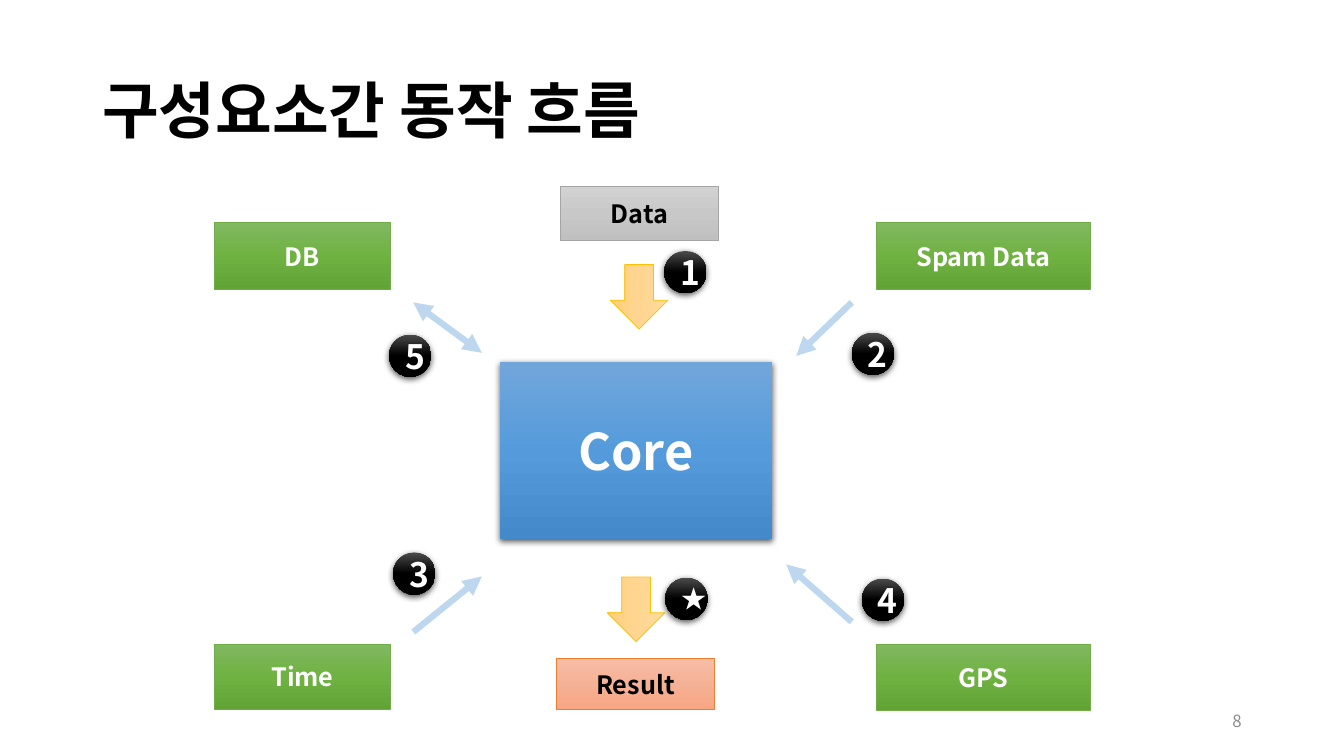
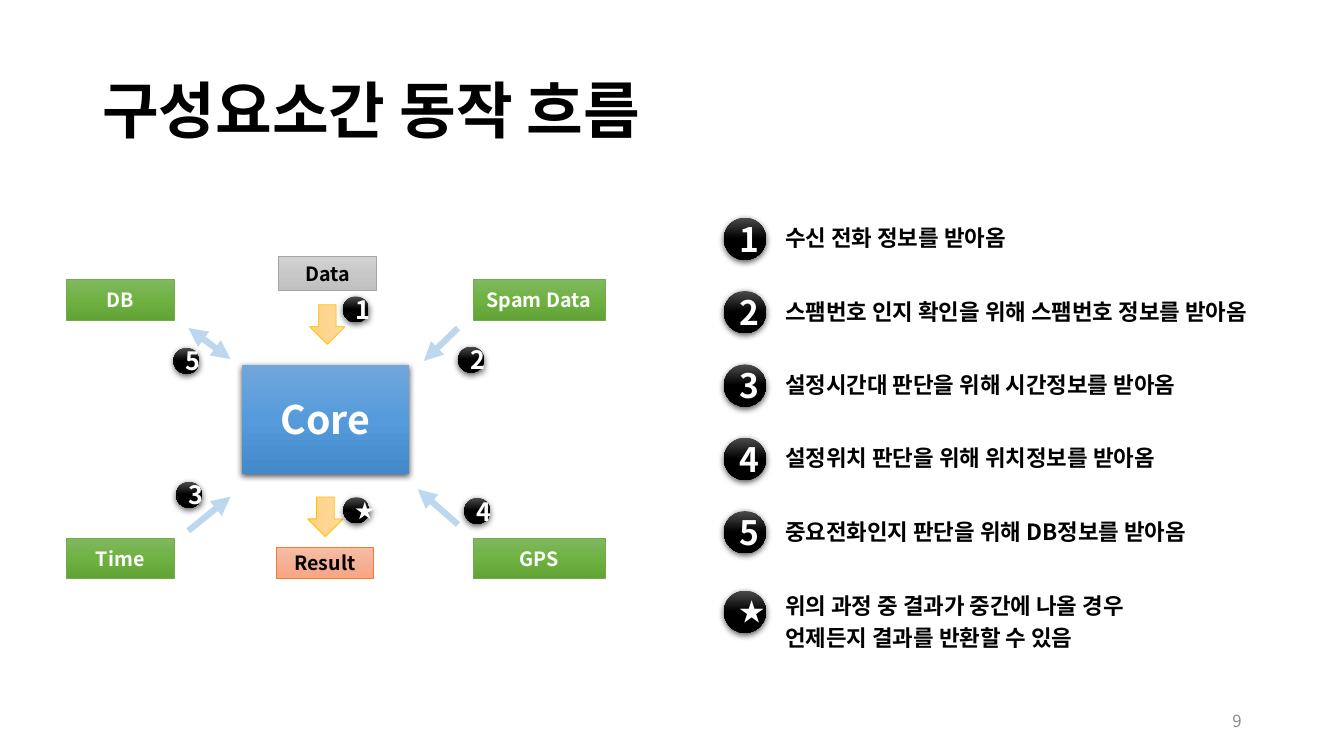
from lxml import etree
from pptx import Presentation
from pptx.dml.color import RGBColor
from pptx.enum.shapes import MSO_CONNECTOR, MSO_SHAPE
from pptx.enum.text import MSO_ANCHOR, MSO_AUTO_SIZE, PP_ALIGN
from pptx.oxml import parse_xml
from pptx.oxml.ns import qn
from pptx.util import Pt

RECT, OVAL, ARROW = MSO_SHAPE.RECTANGLE, MSO_SHAPE.OVAL, MSO_SHAPE.RIGHT_ARROW
LINE = MSO_CONNECTOR.STRAIGHT
LEFT, MID, RIGHT = PP_ALIGN.LEFT, PP_ALIGN.CENTER, PP_ALIGN.RIGHT
TOP, CENTER = MSO_ANCHOR.TOP, MSO_ANCHOR.MIDDLE
GROW, FIXED = MSO_AUTO_SIZE.SHAPE_TO_FIT_TEXT, MSO_AUTO_SIZE.NONE

FONT = "Noto Sans CJK KR"
NS = "http://schemas.openxmlformats.org/drawingml/2006/main"
HEX = {
    "ink": "000000", "white": "FFFFFF", "page": "8C8C8C", "link": "BDD7EE",
    "green": "70AD47", "gray": "A5A5A5", "orange": "ED7D31", "gold": "FFC000",
}
GRADS = {
    "blue": ("71A6DB", "559BDB", "448ACA"),
    "green": ("81B861", "6FB242", "62A336"),
    "gray": ("D2D2D2", "C8C8C8", "C0C0C0"),
    "orange": ("F7BDA5", "F5B196", "F8A582"),
    "gold": ("FFDB9E", "FFD590", "FFD07C"),
    "black": ("4B4B4B", "000000", "000000"),
}
STAR = "★"
BADGE = 30.2

BOXES = [
    ("DB", (153.4, 159.1, 125.3, 47.5), "green", "white"),
    ("Time", (153.4, 460, 125.3, 47), "green", "white"),
    ("GPS", (625.7, 460, 153.4, 47.2), "green", "white"),
    ("Spam Data", (625.7, 159.1, 153.4, 47.5), "green", "white"),
    ("Data", (400.3, 133.2, 113, 38.9), "gray", "ink"),
    ("Result", (397.4, 470.2, 113, 36.7), "orange", "ink"),
]
LINKS = [
    ((295.2, 216), (344.2, 252), ("headEnd", "tailEnd")),
    ((344.2, 411.8), (295.2, 451.4), ("headEnd",)),
    ((568.8, 254.2), (608.4, 216), ("headEnd",)),
    ((561.6, 403.2), (608.4, 444.2), ("headEnd",)),
]
ARROWS = [(431.3, 414.7, 46.1, 41), (433.4, 191.5, 46.1, 41)]
MARKS = [
    ("1", 474.5, 179.3), ("2", 608.4, 237.6), ("3", 280.8, 394.6),
    ("4", 615.6, 413.3), ("5", 277.9, 239), (STAR, 475.2, 412.6),
]
STEPS = [
    ("수신 전화 정보를 받아옴", 358),
    ("스팸번호 인지 확인을 위해 스팸번호 정보를 받아옴", 393),
    ("설정시간대 판단을 위해 시간정보를 받아옴", 406),
    ("설정위치 판단을 위해 위치정보를 받아옴", 358),
    ("중요전화인지 판단을 위해 DB정보를 받아옴", 358),
]
FINISH = "위의 과정 중 결과가 중간에 나올 경우\n언제든지 결과를 반환할 수 있음"


class Deck:
    def __init__(self):
        self.prs = Presentation()
        self.prs.slide_width, self.prs.slide_height = Pt(960), Pt(540)
        self.view()

    def view(self, zoom=1, dx=0, dy=0):
        self.zoom, self.dx, self.dy = zoom, dx, dy

    def spot(self, x, y):
        return Pt(x * self.zoom + self.dx), Pt(y * self.zoom + self.dy)

    def page(self, title, num):
        self.slide = self.prs.slides.add_slide(self.prs.slide_layouts[6])
        self.view()
        self.text(title, (66, 28.8, 828, 104.4), 44, anchor=CENTER, space=0.9)
        self.text(str(num), (678, 500.4, 216, 28.8), 12, color="page",
                  bold=False, align=RIGHT, anchor=CENTER)

    def label(self, shape, words, size, color="ink", bold=True, align=LEFT,
              anchor=TOP, space=None, fit=FIXED):
        frame = shape.text_frame
        for name, value in {"text": words, "word_wrap": True,
                            "vertical_anchor": anchor, "auto_size": fit}.items():
            setattr(frame, name, value)
        for para in frame.paragraphs:
            para.alignment, para.line_spacing = align, space
            for run in para.runs:
                looks = {"size": Pt(size), "bold": bold, "name": FONT}
                for name, value in looks.items():
                    setattr(run.font, name, value)
                run.font.color.rgb = RGBColor.from_string(HEX[color])
                ea = etree.SubElement(run.font._element, qn("a:ea"))
                ea.set("typeface", FONT)

    def text(self, words, box, size, **style):
        shape = self.slide.shapes.add_textbox(*map(Pt, box))
        self.label(shape, words, size, **style)

    def shape(self, kind, box, grad, edge=None, shade=False):
        x, y, w, h = box
        shape = self.slide.shapes.add_shape(
            kind, *self.spot(x, y), Pt(w * self.zoom), Pt(h * self.zoom))
        stops = "".join(
            f'<a:gs pos="{i * 50000}"><a:srgbClr val="{tone}"/></a:gs>'
            for i, tone in enumerate(GRADS[grad]))
        props = shape._element.spPr
        props.append(parse_xml(
            f'<a:gradFill xmlns:a="{NS}" rotWithShape="1"><a:gsLst>{stops}'
            '</a:gsLst><a:lin ang="5400000" scaled="0"/></a:gradFill>'))
        if edge:
            shape.line.color.rgb = RGBColor.from_string(HEX[edge])
            shape.line.width = Pt(0.5)
        else:
            shape.line.fill.background()
        shape.shadow.inherit = False
        if shade:
            props.find(qn("a:effectLst")).append(parse_xml(
                f'<a:outerShdw xmlns:a="{NS}" blurRad="{Pt(4.5)}" '
                f'dist="{Pt(1.5)}" dir="5400000" algn="ctr" rotWithShape="0">'
                '<a:srgbClr val="000000"><a:alpha val="63000"/></a:srgbClr>'
                '</a:outerShdw>'))
        return shape

    def box(self, words, box, grad, color, size, edge=None, shade=False):
        shape = self.shape(RECT, box, grad, edge, shade)
        self.label(shape, words, size, color, align=MID, anchor=CENTER)

    def arrow(self, box):
        self.shape(ARROW, box, "gold", "gold").rotation = 90

    def badge(self, mark, x, y, size=24, star=18):
        shape = self.shape(OVAL, (x, y, BADGE, BADGE), "black", shade=True)
        self.label(shape, mark, star if mark == STAR else size, "white",
                   align=MID, anchor=CENTER)

    def link(self, start, end, tips):
        line = self.slide.shapes.add_connector(
            LINE, *self.spot(*start), *self.spot(*end))
        line.line.color.rgb = RGBColor.from_string(HEX["link"])
        line.line.width = Pt(4.5)
        edge = line._element.spPr.find(qn("a:ln"))
        for tip in tips:
            etree.SubElement(edge, qn("a:" + tip)).set("type", "triangle")
        etree.SubElement(line._element.spPr, qn("a:effectLst"))

    def flow(self, core, size, mark, star):
        self.box("Core", (357.1, 258.5, 194.4, 126.7), "blue", "white", core,
                 shade=True)
        for words, box, grad, color in BOXES:
            self.box(words, box, grad, color, size, edge=grad)
        for ends in LINKS:
            self.link(*ends)
        for box in ARROWS:
            self.arrow(box)
        for place in MARKS:
            self.badge(*place, mark, star)

    def steps(self, x, y, gap):
        left = x + 36.7
        for i, (words, width) in enumerate(STEPS):
            self.badge(str(i + 1), x, y + i * gap)
            self.text(words, (left, y + 1.2 + i * gap, width, 26.6), 16, fit=GROW)
        self.badge(STAR, x, 421.9)
        self.text(FINISH, (left, 415.4, 358, 51.8), 16, space=1.2, fit=GROW)


deck = Deck()
TITLE = "구성요소간 동작 흐름"
deck.page(TITLE, 8)
deck.flow(36, 18, 24, 18)

deck.page(TITLE, 9)
deck.view(0.615, -47, 101.5)
deck.flow(28, 14, 18, 14)
deck.view()
deck.steps(517, 155.5, 52.4)

deck.prs.save("out.pptx")
